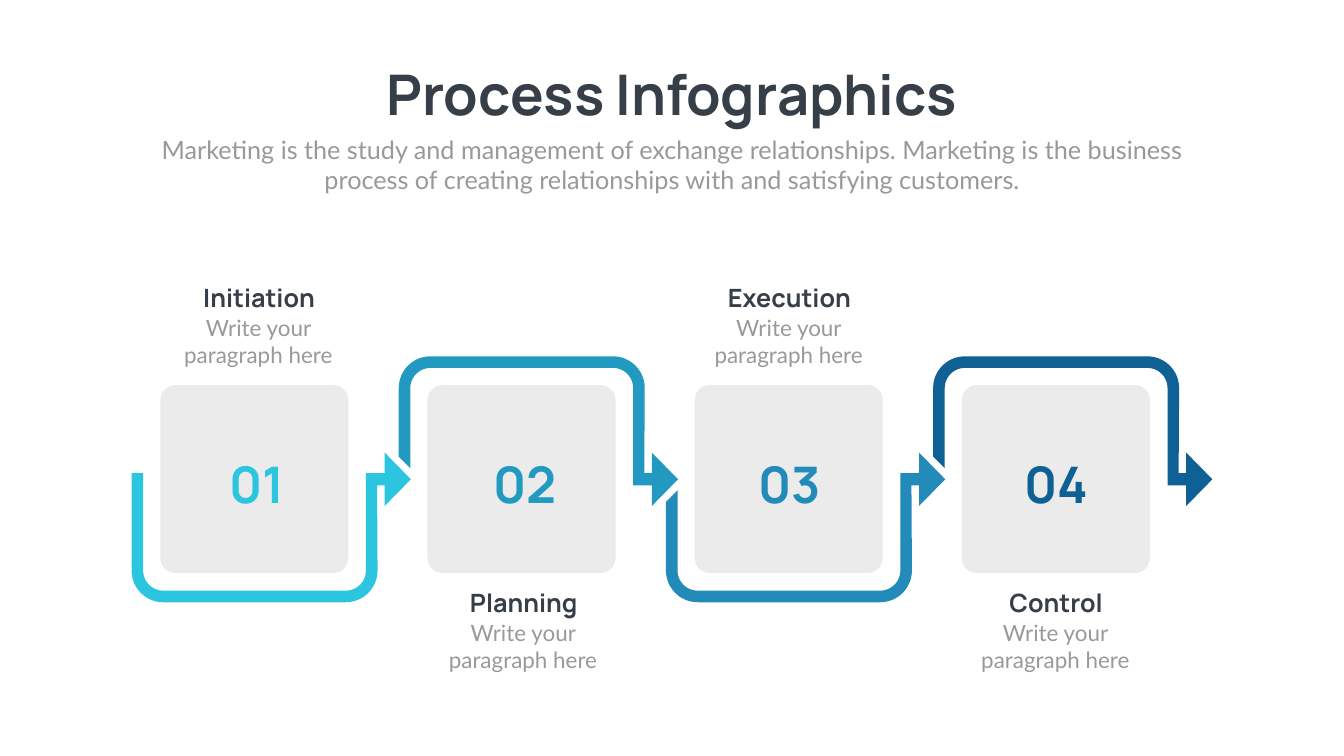
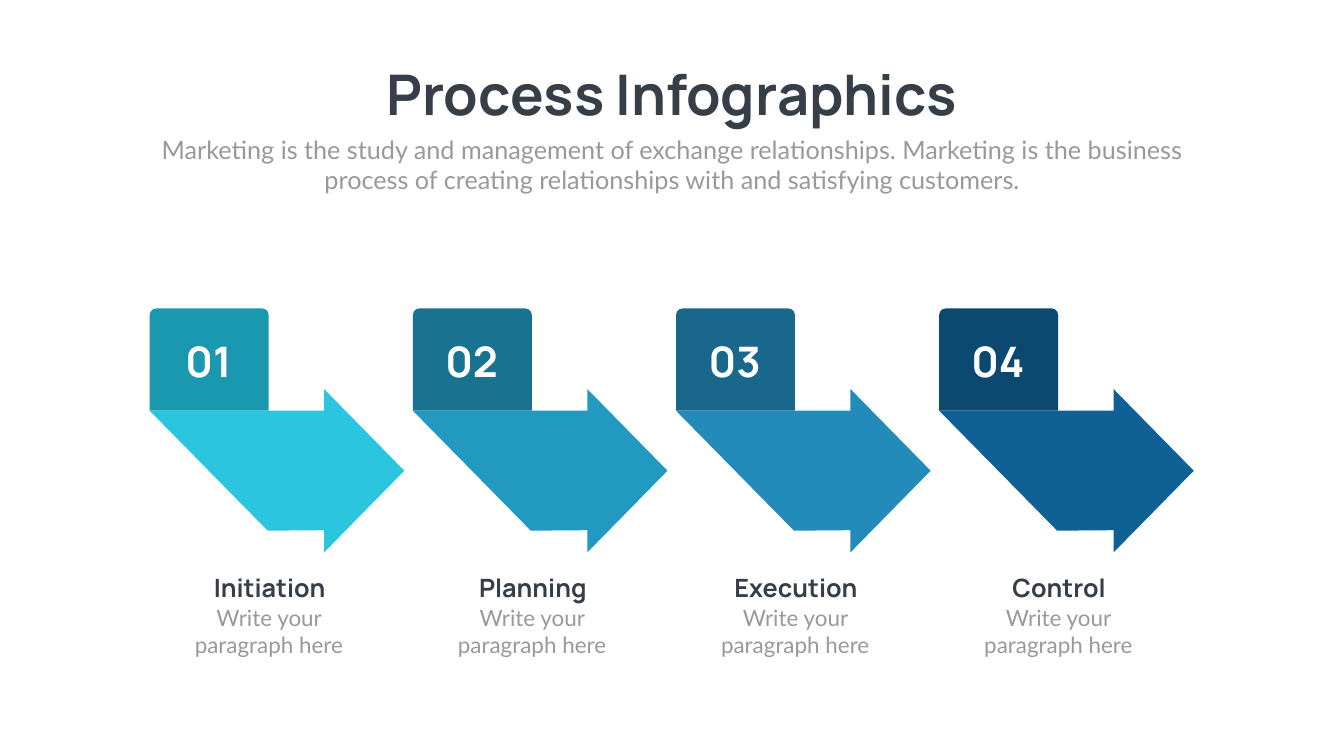
import math

from pptx import Presentation
from pptx import util as u
from pptx.dml.color import RGBColor
from pptx.enum import shapes, text

INK = RGBColor(0x36, 0x3E, 0x48)
GREY = RGBColor(0x99, 0x99, 0x99)
CARD = RGBColor(0xEB, 0xEB, 0xEB)
WHITE = RGBColor(0xFF, 0xFF, 0xFF)

# Number, name, main colour, darker tab colour
STEPS = [
    ("01", "Initiation", RGBColor(0x2B, 0xC5, 0xE0), RGBColor(0x1A, 0x98, 0xAF)),
    ("02", "Planning", RGBColor(0x22, 0x99, 0xC0), RGBColor(0x19, 0x73, 0x90)),
    ("03", "Execution", RGBColor(0x22, 0x8B, 0xB9), RGBColor(0x19, 0x68, 0x8B)),
    ("04", "Control", RGBColor(0x0F, 0x61, 0x95), RGBColor(0x0B, 0x49, 0x70)),
]

TITLE = {"name": "Manrope", "size": u.Pt(80), "bold": True}
NAME = {"name": "Manrope", "size": u.Pt(36), "bold": True}
NUMBER = {"name": "Manrope", "size": u.Pt(72), "bold": True}
TAB_NUMBER = {"name": "Manrope", "size": u.Pt(60), "bold": True}
INTRO = {"name": "Lato", "size": u.Pt(36)}
BODY = {"name": "Lato", "size": u.Pt(32)}


# Basic parts
def add_text(parent, box, words, font, colour, wrap=True):
    tf = parent.shapes.add_textbox(*map(u.Inches, box)).text_frame
    tf.word_wrap = wrap
    tf.auto_size = text.MSO_AUTO_SIZE.SHAPE_TO_FIT_TEXT
    p = tf.paragraphs[0]
    p.alignment = text.PP_ALIGN.CENTER
    r = p.add_run()
    r.text = words
    for key, value in font.items():
        setattr(r.font, key, value)
    r.font.color.rgb = colour


def paint(sp, colour):
    sp.shadow.inherit = False
    sp.fill.solid()
    sp.fill.fore_color.rgb = colour
    sp.line.fill.background()


def add_preset(s, kind, box, colour, radius):
    sp = s.shapes.add_shape(kind, *map(u.Inches, box))
    sp.adjustments[0] = radius / min(box[2:])
    paint(sp, colour)


def add_outline(s, x, y, points, colour):
    pts = [(u.Inches(x + px), u.Inches(y + py)) for px, py in points]
    builder = s.shapes.build_freeform(*pts[0])
    builder.add_line_segments(pts[1:], close=True)
    paint(builder.convert_to_shape(), colour)


def arc(cx, cy, radius, start, end, parts=12):
    angles = [math.radians(start + (end - start) * i / parts) for i in range(parts + 1)]
    return [(cx + radius * math.cos(a), cy + radius * math.sin(a)) for a in angles]


# Shared regions
def header(s):
    add_text(s, (7.17, 1.14, 12.32, 1.45), "Process Infographics", TITLE, INK, wrap=False)
    add_text(s, (2.92, 2.61, 20.82, 1.31),
             "Marketing is the study and management of exchange relationships. "
             "Marketing is the business process of creating relationships with "
             "and satisfying customers.", INTRO, GREY)


def caption(s, x, y, name):
    group = s.shapes.add_group_shape()
    add_text(group, (x + 0.03, y, 3.36, 0.71), name, NAME, INK)
    add_text(group, (x, y + 0.63, 3.39, 1.18), "Write your paragraph here", BODY, GREY)


# Bent arrow that runs over a card, or under it when flipped
def hook(s, x, y, colour, under, square_tail):
    height, left, right, bend = 2.97, 0.63, 4.25, 0.63
    tail = [(0, 2.56), (0.23, 2.56)] if square_tail else [(0, 1.99), (0.23, 2.22)]
    points = [(5.54, 2.44), (5.02, 1.91), (5.02, 2.32), (4.87, 2.32)]
    points += arc(right, bend, 0.63, 0, -90) + arc(left, bend, 0.63, -90, -180)
    points += tail
    points += arc(left, bend, 0.4, -180, -90) + arc(right, bend, 0.4, -90, 0)
    points += [(4.65, 2.56), (5.02, 2.56), (5.02, height)]
    if under:
        points = [(px, height - py) for px, py in points]
    add_outline(s, x, y, points, colour)


def hook_slide(s):
    left, pitch, side = 2.61, 5.3, 3.73
    caption_x = [3.43, 8.68, 13.95, 19.24]
    number_x = [4.16, 9.48, 14.73, 20.01]
    # Cards
    for i in range(len(STEPS)):
        add_preset(s, shapes.MSO_SHAPE.ROUNDED_RECTANGLE,
                   (left + 0.57 + i * pitch, 7.64, side, side), CARD, 0.3)
    header(s)
    # Arrows, captions and numbers, alternating below and above
    for i, (number, name, colour, _) in enumerate(STEPS):
        under = i % 2 == 0
        hook(s, left + i * pitch, 8.98 if under else 7.07, colour, under, i == 0)
        caption(s, caption_x[i], 5.55 if under else 11.6, name)
        add_text(s, (number_x[i], 8.95, 1.88, 1.31), number, NUMBER, colour)


# Numbered tab folding into a wide arrow
def folded_arrow(s, x, y, number, name, colour, dark):
    add_preset(s, shapes.MSO_SHAPE.ROUND_2_SAME_RECTANGLE, (x, y, 2.36, 2.03), dark, 0.13)
    add_outline(s, x, y, [(3.46, 1.6), (3.46, 2.03), (0, 2.03), (2.34, 4.41),
                          (3.46, 4.4), (3.46, 4.84), (5.05, 3.22)], colour)
    add_text(s, (x + 0.22, y + 0.49, 1.89, 1.11), number, TAB_NUMBER, WHITE)
    caption(s, x + 0.67, y + 5.19, name)


def fold_slide(s):
    left, pitch = 2.97, 5.22
    header(s)
    for i, step in enumerate(STEPS):
        folded_arrow(s, left + i * pitch, 6.12, *step)


def main():
    prs = Presentation()
    prs.slide_width, prs.slide_height = u.Inches(26.66), u.Inches(15)
    for build in (hook_slide, fold_slide):
        build(prs.slides.add_slide(prs.slide_layouts[6]))
    prs.save("out.pptx")


if __name__ == "__main__":
    main()
